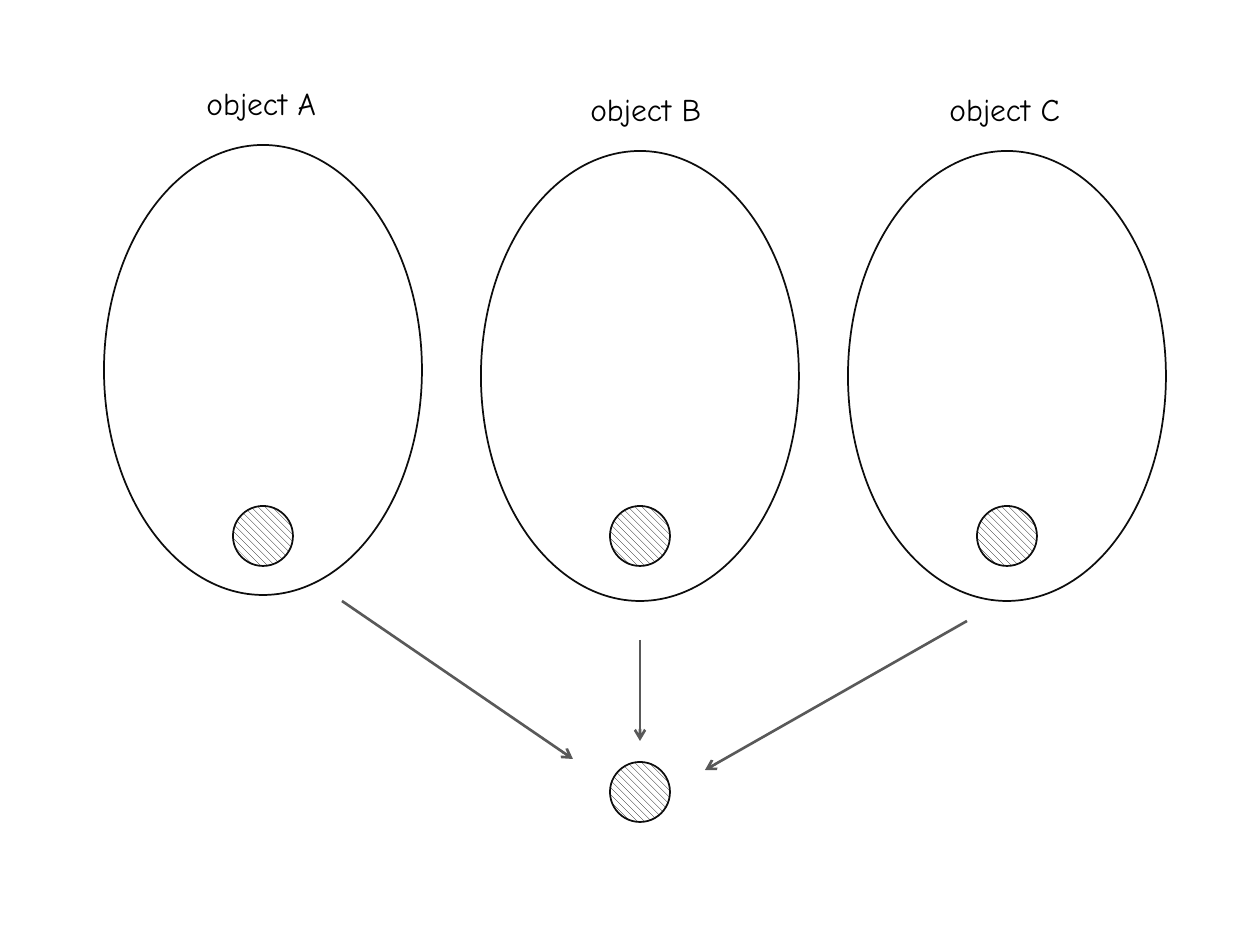
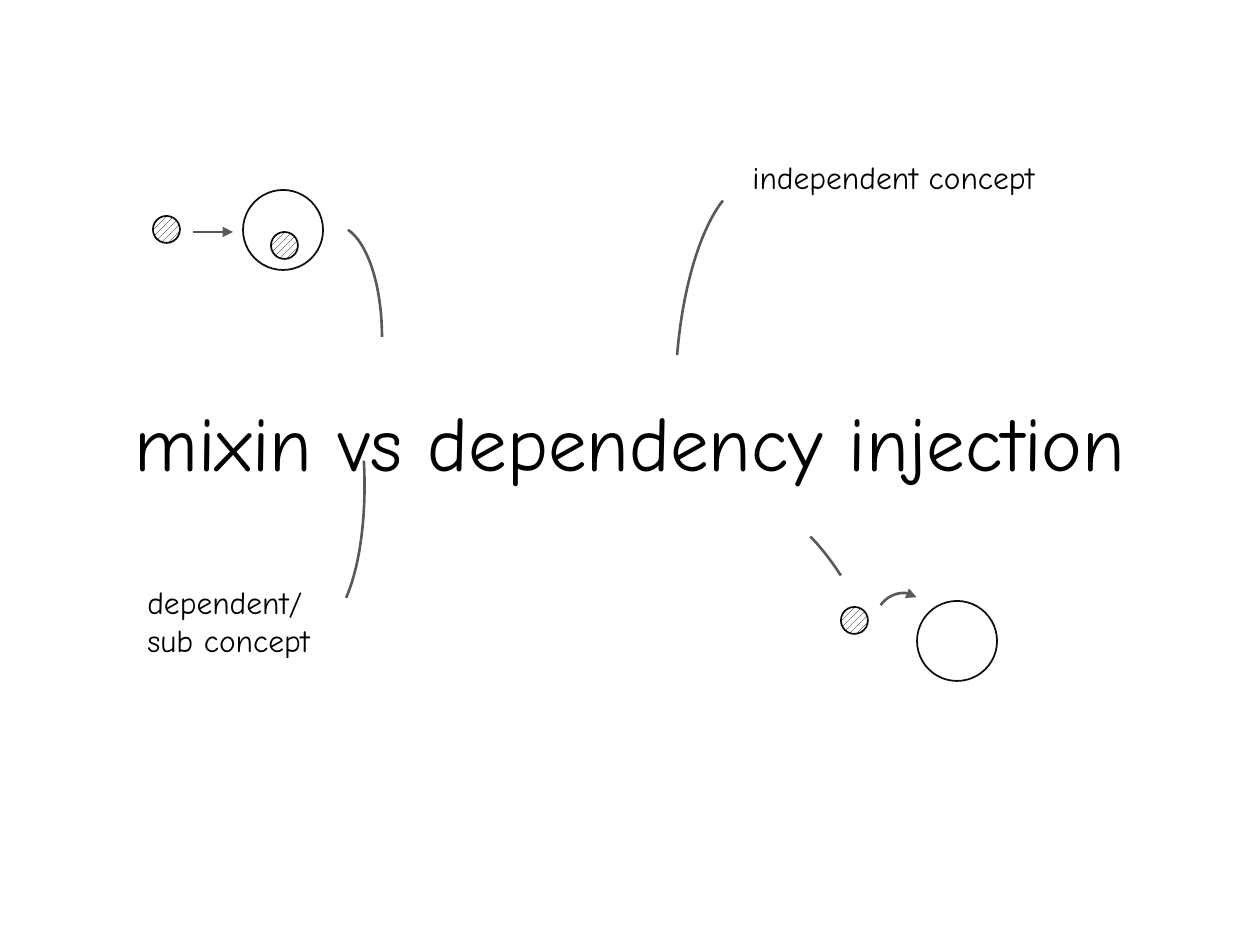
from lxml import etree
from pptx import Presentation
from pptx.dml.color import RGBColor
from pptx.enum.dml import MSO_PATTERN
from pptx.enum.shapes import MSO_CONNECTOR, MSO_SHAPE
from pptx.enum.text import MSO_ANCHOR, MSO_AUTO_SIZE, PP_ALIGN
from pptx.oxml.ns import qn
from pptx.util import Emu, Inches, Pt

PX_PER_INCH = 126
INK = RGBColor(0x0D, 0x0D, 0x0D)
GRAY = RGBColor(0x59, 0x59, 0x59)
BLACK = RGBColor(0, 0, 0)
WHITE = RGBColor(255, 255, 255)
FONT = "Comic Neue"
OVAL, ARC = MSO_SHAPE.OVAL, MSO_SHAPE.ARC
STRAIGHT = MSO_CONNECTOR.STRAIGHT
DOWN_HATCH = MSO_PATTERN.WIDE_DOWNWARD_DIAGONAL
UP_HATCH = MSO_PATTERN.WIDE_UPWARD_DIAGONAL
FIT_SHAPE, NO_FIT = MSO_AUTO_SIZE.SHAPE_TO_FIT_TEXT, MSO_AUTO_SIZE.NONE
MIDDLE, CENTER = MSO_ANCHOR.MIDDLE, PP_ALIGN.CENTER
TITLE_LAYOUT, BLANK_LAYOUT = 0, 6

OBJECT_WIDTH, OBJECT_HEIGHT = 318, 450
PART_SIZE, PART_TOP = 60, 506
HOST_SIZE, CONCEPT_SIZE = 80, 27


def px(*lengths):
    """Turn pixel lengths into a list of EMU."""
    return [Emu(round(length * 914400 / PX_PER_INCH)) for length in lengths]


def apply_format(target, values):
    """Set each attribute of the target from a dict."""
    for name, value in values.items():
        setattr(target, name, value)


def format_line(line, color, width, head=None):
    """Style a line and give its end an arrowhead if named."""
    line.color.rgb = color
    line.width = Pt(width)
    if head:
        properties = line.color and line.fill and line._get_or_add_ln()
        etree.SubElement(properties, qn("a:tailEnd"), type=head)


def add_circle(slide, left, top, width, height=None, hatch=None):
    """Draw an outlined oval, hatched or empty."""
    shape = slide.shapes.add_shape(OVAL, *px(left, top, width, height or width))
    shape.shadow.inherit = False
    format_line(shape.line, INK, 1)
    if hatch is None:
        shape.fill.background()
    else:
        shape.fill.patterned()
        shape.fill.pattern = hatch
        shape.fill.fore_color.rgb = BLACK
        shape.fill.back_color.rgb = WHITE


def add_arrow(slide, start, end, width, head):
    """Draw a straight arrow between two points."""
    connector = slide.shapes.add_connector(STRAIGHT, *px(*start, *end))
    format_line(connector.line, GRAY, width, head)
    etree.SubElement(connector._element.spPr, qn("a:effectLst"))


def add_arc(slide, box, start=162, rotation=0, flip=False, head=None):
    """Draw a curved pointer line in a box."""
    shape = slide.shapes.add_shape(ARC, *px(*box))
    shape.shadow.inherit = False
    shape.fill.background()
    shape.adjustments[0] = start
    shape.adjustments[1] = 0
    shape.rotation = rotation
    if flip:
        shape._element.spPr.find(qn("a:xfrm")).set("flipH", "1")
    format_line(shape.line, GRAY, 1.5, head)


def write(frame, lines, size, alignment=None):
    """Write one paragraph per line in the shared font."""
    frame.text = "\n".join(lines)
    for paragraph in frame.paragraphs:
        paragraph.alignment = alignment
        font = paragraph.runs[0].font
        apply_format(font, {"name": FONT, "size": Pt(size)})
        font.color.rgb = BLACK


def add_label(slide, box, *lines):
    """Place an unwrapped label."""
    frame = slide.shapes.add_textbox(*px(*box)).text_frame
    write(frame, lines, 18)
    apply_format(frame, {"word_wrap": False, "auto_size": FIT_SHAPE})


def add_object(slide, left, top, name, label_offset, label_width):
    """Draw a named object with its shared part inside."""
    add_circle(slide, left, top, OBJECT_WIDTH, OBJECT_HEIGHT)
    add_label(slide, (left + label_offset, top - 67, label_width, 50), name)
    part_left = left + (OBJECT_WIDTH - PART_SIZE) // 2
    add_circle(slide, part_left, PART_TOP, PART_SIZE, hatch=DOWN_HATCH)


def add_mixin(slide, left, top):
    """Draw a concept that is copied into its host."""
    add_circle(slide, left + 90, top, HOST_SIZE)
    for x, y in ((118, 42), (0, 26)):
        add_circle(slide, left + x, top + y, CONCEPT_SIZE, hatch=UP_HATCH)
    y = top + 42
    add_arrow(slide, (left + 40, y), (left + 80, y), 1, "triangle")


def add_injection(slide, left, top):
    """Draw a concept that is handed to its host from outside."""
    add_circle(slide, left + 76, top + 6, HOST_SIZE)
    add_circle(slide, left, top + 12, CONCEPT_SIZE, hatch=UP_HATCH)
    add_arc(slide, (left + 32, top, 55, 49), rotation=305.9, head="triangle")


def build_objects_slide(presentation):
    """Show three objects sharing one common part."""
    slide = presentation.slides.add_slide(presentation.slide_layouts[BLANK_LAYOUT])
    for item in (
        (104, 145, "object A", 90, 156),
        (481, 151, "object B", 97, 154),
        (848, 151, "object C", 89, 160),
    ):
        add_object(slide, *item)
    add_circle(slide, 610, 762, PART_SIZE, hatch=DOWN_HATCH)
    for start, end in (
        ((342, 601), (573, 759)),
        ((640, 640), (640, 741)),
        ((967, 621), (705, 770)),
    ):
        add_arrow(slide, start, end, 1.5, "arrow")


def build_comparison_slide(presentation):
    """Compare mixin with dependency injection."""
    slide = presentation.slides.add_slide(presentation.slide_layouts[TITLE_LAYOUT])
    subtitle = slide.placeholders[1]._element
    subtitle.getparent().remove(subtitle)
    title = slide.shapes.title
    apply_format(title, dict(zip(("left", "top", "width", "height"), px(95, 339, 1071, 203))))
    write(title.text_frame, ["mixin vs dependency injection"], 44, CENTER)
    apply_format(title.text_frame, {"vertical_anchor": MIDDLE, "auto_size": NO_FIT})

    add_label(slide, (740, 152, 335, 50), "independent concept")
    add_label(slide, (135, 577, 217, 89), "dependent/", "sub concept")
    add_mixin(slide, 153, 190)
    add_injection(slide, 841, 595)
    for box, start, rotation, flip in (
        ((677, 183, 122, 354), 167.97, 4.6, True),
        ((242, 296, 122, 336), 170.86, 176.9, True),
        ((290, 226, 92, 222), 165.81, 0, False),
        ((805, 510, 39, 152), 172.05, 327.3, False),
    ):
        add_arc(slide, box, start, rotation, flip)


def main():
    """Build and save both slides."""
    presentation = Presentation()
    apply_format(presentation, {"slide_width": Inches(10), "slide_height": Inches(7.5)})
    build_objects_slide(presentation)
    build_comparison_slide(presentation)
    presentation.save("out.pptx")


if __name__ == "__main__":
    main()
